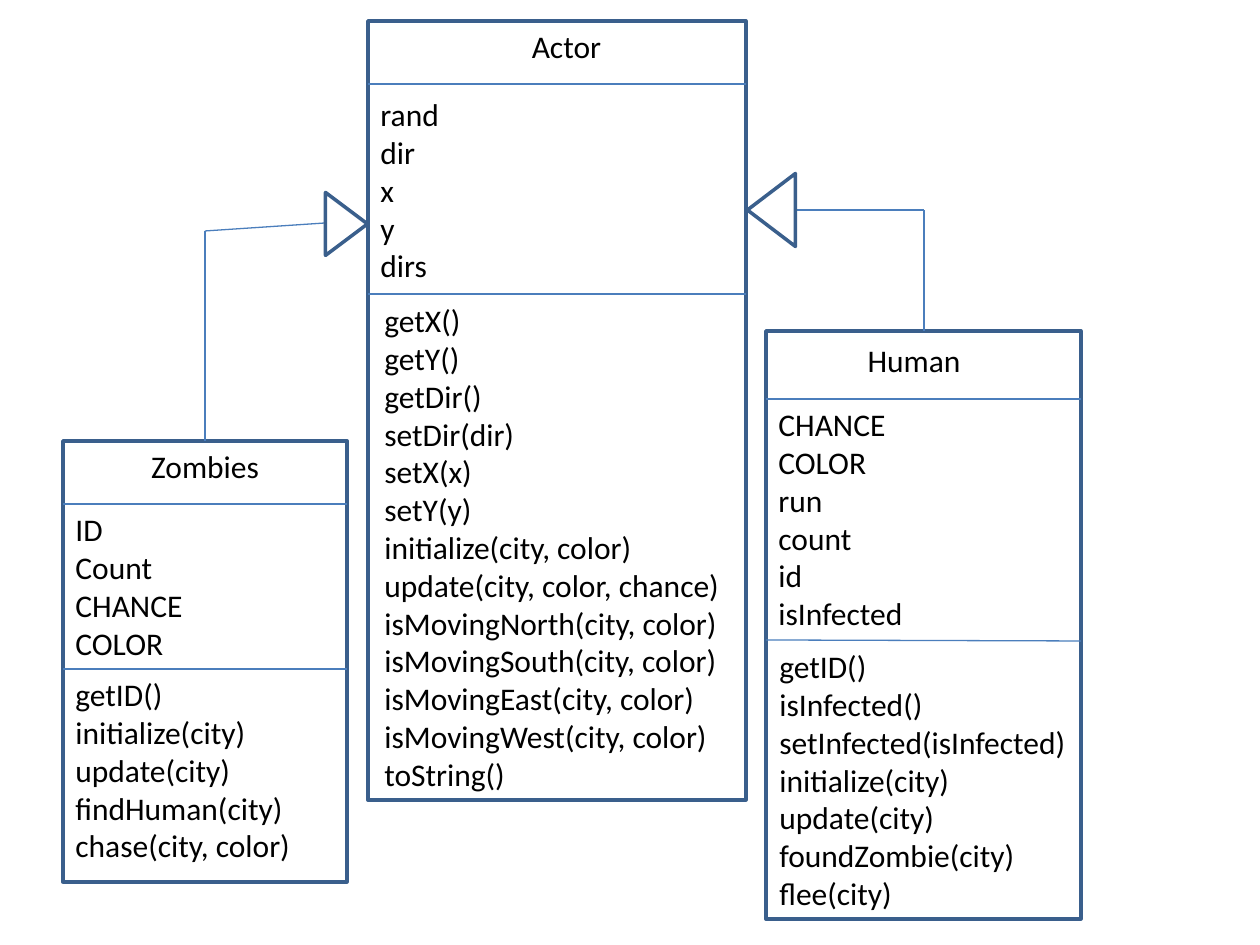
import pptx
import pptx.util
import pptx.dml.color
import pptx.enum.shapes
import pptx.enum.text
import lxml.etree

PX = 914400 // 126  # EMU per pixel
EDGE, RULE, WHITE, BLACK = "3A5F8C", "4B7EBC", "FFFFFF", "000000"
LINE_H, PADDING = 38, 13

# Each section: text left, top, width and its lines; rules: height at left and right
CLASSES = [
    dict(box=(63, 441, 284, 441), rules=[(504, 504), (669, 669)], sections=[
        (63, 441, 284, ["Zombies"]),
        (63, 504, 284, ["ID", "Count", "CHANCE\vCOLOR"]),
        (63, 669, 284, ["getID()", "initialize(city)", "update(city)",
                        "findHuman(city)", "chase(city, color)"])]),
    dict(box=(766, 331, 315, 588), rules=[(399, 399), (640, 641)], sections=[
        (767, 335, 294, ["Human"]),
        (766, 399, 294, ["CHANCE", "COLOR", "run", "count", "id", "isInfected"]),
        (767, 641, 325, ["getID()", "isInfected()", "setInfected(isInfected)",
                         "initialize(city)", "update(city)",
                         "foundZombie(city)", "flee(city)"])]),
    dict(box=(368, 21, 378, 779), rules=[(84, 84), (294, 294)], sections=[
        (388, 21, 357, ["Actor"]),
        (368, 89, 357, ["rand", "dir", "x", "y", "dirs"]),
        (372, 295, 396, ["getX()", "getY()", "getDir()", "setDir(dir)",
                         "setX(x)", "setY(y)", "initialize(city, color)",
                         "update(city, color, chance)",
                         "isMovingNorth(city, color)",
                         "isMovingSouth(city, color)",
                         "isMovingEast(city, color)",
                         "isMovingWest(city, color)", "toString()"])]),
]

# Inheritance: route from the subclass, then triangle frame and rotation
INHERITANCE = [
    ([(205, 441), (205, 231), (325, 223)], (315, 203, 63, 42), 90),
    ([(924, 331), (924, 210), (795, 210)], (735, 186, 73, 48), 270),
]


def rgb(value):
    return pptx.dml.color.RGBColor.from_string(value)


def px(*values):
    return [pptx.util.Emu(v * PX) for v in values]


def add_outline(kind, frame, rotation=0):
    sp = s.shapes.add_shape(kind, *px(*frame))
    sp.rotation = rotation
    sp.shadow.inherit = False
    sp.fill.solid()
    sp.fill.fore_color.rgb = rgb(WHITE)
    sp.line.color.rgb = rgb(EDGE)
    sp.line.width = pptx.util.Pt(2)


def add_rule(start, end):
    line = s.shapes.add_connector(
        pptx.enum.shapes.MSO_CONNECTOR.STRAIGHT, *px(*start, *end))
    line.line.color.rgb = rgb(RULE)
    line.line.width = pptx.util.Pt(0.75)
    lxml.etree.SubElement(line._element.spPr, pptx.oxml.ns.qn("a:effectLst"))


def add_text(left, top, width, lines, align):
    count = sum(1 + text.count("\v") for text in lines)
    sp = s.shapes.add_textbox(*px(left, top, width, PADDING + LINE_H * count))
    tf = sp.text_frame
    tf.word_wrap = True
    tf.auto_size = pptx.enum.text.MSO_AUTO_SIZE.SHAPE_TO_FIT_TEXT
    tf.text = "\n".join(lines)
    for p in tf.paragraphs:
        p.alignment = align
        p.font.name = "Calibri"
        p.font.size = pptx.util.Pt(18)
        p.font.color.rgb = rgb(BLACK)


prs = pptx.Presentation()
prs.slide_width, prs.slide_height = px(1260, 945)
s = prs.slides.add_slide(prs.slide_layouts[6])
SHAPE = pptx.enum.shapes.MSO_SHAPE
ALIGN = pptx.enum.text.PP_ALIGN

# Class boxes
for item in CLASSES:
    left, top, width, height = item["box"]
    add_outline(SHAPE.RECTANGLE, item["box"])
    for y_left, y_right in item["rules"]:
        add_rule((left, y_left), (left + width, y_right))
    for i, section in enumerate(item["sections"]):
        add_text(*section, ALIGN.LEFT if i else ALIGN.CENTER)

# Inheritance arrows
for route, frame, rotation in INHERITANCE:
    for start, end in zip(route, route[1:]):
        add_rule(start, end)
    add_outline(SHAPE.ISOSCELES_TRIANGLE, frame, rotation)

prs.save("out.pptx")
